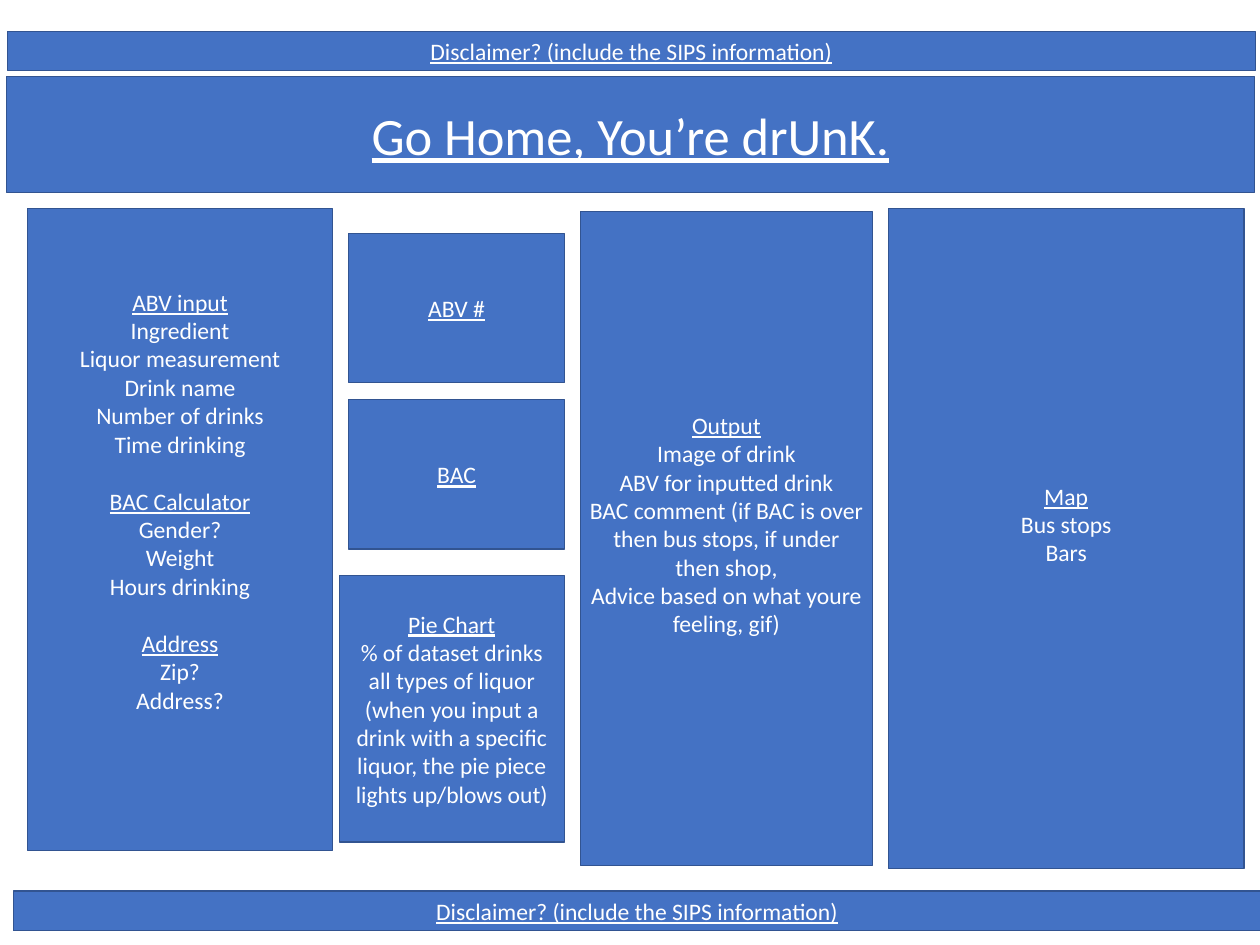
from pptx import Presentation
from pptx.dml.color import RGBColor
from pptx.enum.shapes import MSO_SHAPE as Shape
from pptx.enum.text import MSO_ANCHOR as Anchor, PP_ALIGN as Align
from pptx.util import Inches, Pt

COLORS = {"panel": "4472C4", "border": "325491", "text": "FFFFFF"}
LINE_HEIGHT = 22


def color(name):
    return RGBColor.from_string(COLORS[name])


def add_panel(slide, box, sections, size=18, lift=0):
    panel = slide.shapes.add_shape(Shape.RECTANGLE, *map(Inches, box))
    panel.shadow.inherit = False
    panel.fill.solid()
    panel.fill.fore_color.rgb = color("panel")
    panel.line.color.rgb = color("border")
    panel.line.width = Pt(1)

    frame = panel.text_frame
    frame.word_wrap = True
    frame.vertical_anchor = Anchor.MIDDLE
    frame.margin_bottom = Inches(0.05) + Pt(lift * LINE_HEIGHT)
    paragraph = None
    for heading, *items in sections:
        for text in (heading, *items):
            is_heading = text is heading
            is_first = paragraph is None
            paragraph = frame.paragraphs[0] if is_first else frame.add_paragraph()
            paragraph.text = text
            paragraph.alignment = Align.CENTER
            if is_heading and not is_first:
                paragraph.space_before = Pt(LINE_HEIGHT)
            font = paragraph.font
            font.name = "Calibri"
            font.size = Pt(size)
            font.underline = is_heading
            font.color.rgb = color("text")


def add_banners(slide):
    disclaimer = [["Disclaimer? (include the SIPS information)"]]
    for left, top in ((0.08, 0.33), (0.14, 9.43)):
        add_panel(slide, (left, top, 13.2, 0.42), disclaimer)
    add_panel(slide, (0.07, 0.81, 13.2, 1.23), [["Go Home, You’re drUnK."]], size=40)


def add_inputs(slide, box):
    add_panel(slide, box, [
        ["ABV input", "Ingredient", "Liquor measurement", "Drink name",
         "Number of drinks", "Time drinking"],
        ["BAC Calculator", "Gender?", "Weight", "Hours drinking"],
        ["Address", "Zip?", "Address?"],
    ], lift=2)


def add_results(slide, box):
    left, top, width, height = box
    result_height, step, indent, pie_height = 1.58, 1.76, 0.1, 2.82
    for row, result in enumerate(("ABV #", "BAC")):
        add_panel(slide, (left + indent, top + row * step, width - indent, result_height),
                  [[result]])
    add_panel(slide, (left, top + height - pie_height, width, pie_height), [
        ["Pie Chart", "% of dataset drinks all types of liquor",
         "(when you input a drink with a specific liquor, the pie piece lights up/blows out)"],
    ])


def add_output(slide, box):
    add_panel(slide, box, [
        ["Output", "Image of drink", "ABV for inputted drink",
         "BAC comment (if BAC is over then bus stops, if under then shop,",
         "Advice based on what youre feeling, gif)"],
    ], lift=1)


def add_map(slide, box):
    add_panel(slide, box, [["Map", "Bus stops", "Bars"]], lift=1)


presentation = Presentation()
presentation.slide_width = Inches(13.33)
presentation.slide_height = Inches(10)
wireframe = presentation.slides.add_slide(presentation.slide_layouts[6])

add_inputs(wireframe, (0.29, 2.21, 3.23, 6.79))
add_output(wireframe, (6.14, 2.24, 3.09, 6.92))
add_banners(wireframe)
add_map(wireframe, (9.4, 2.21, 3.76, 6.98))
add_results(wireframe, (3.59, 2.47, 2.38, 6.44))

presentation.save("out.pptx")
